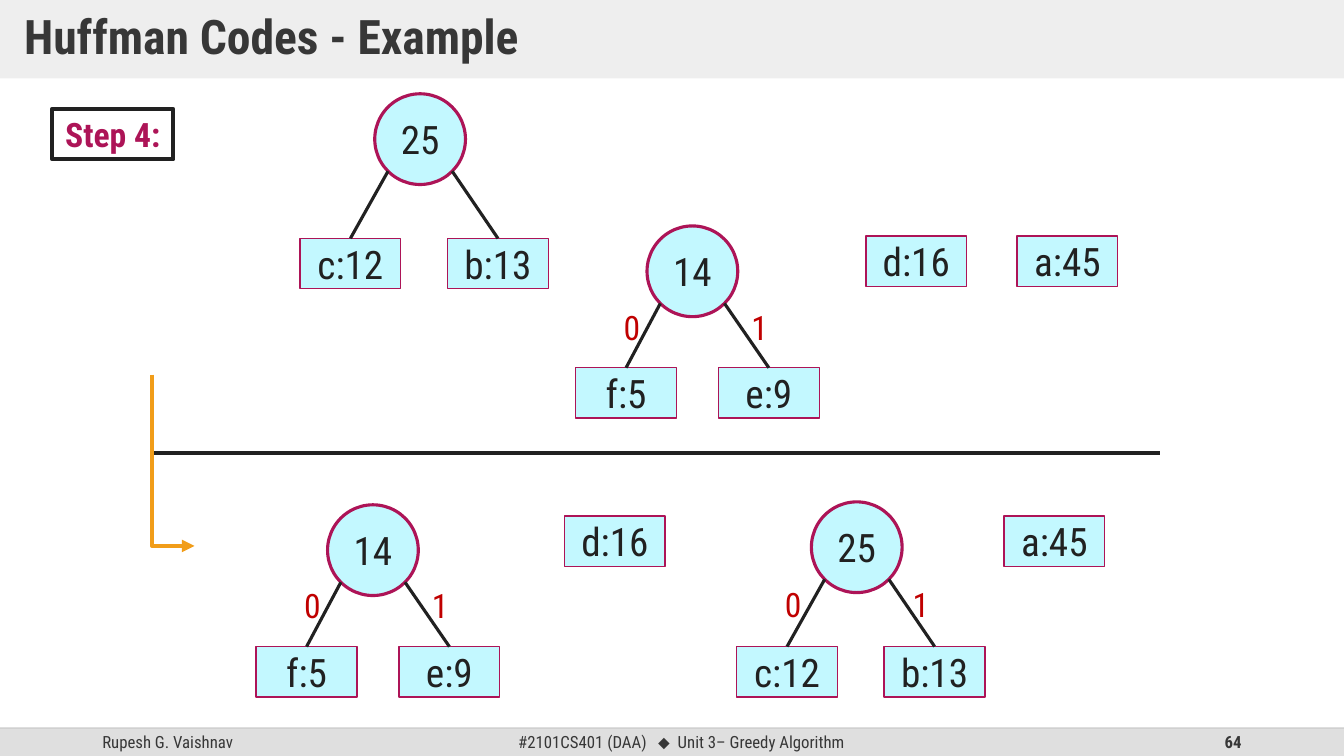
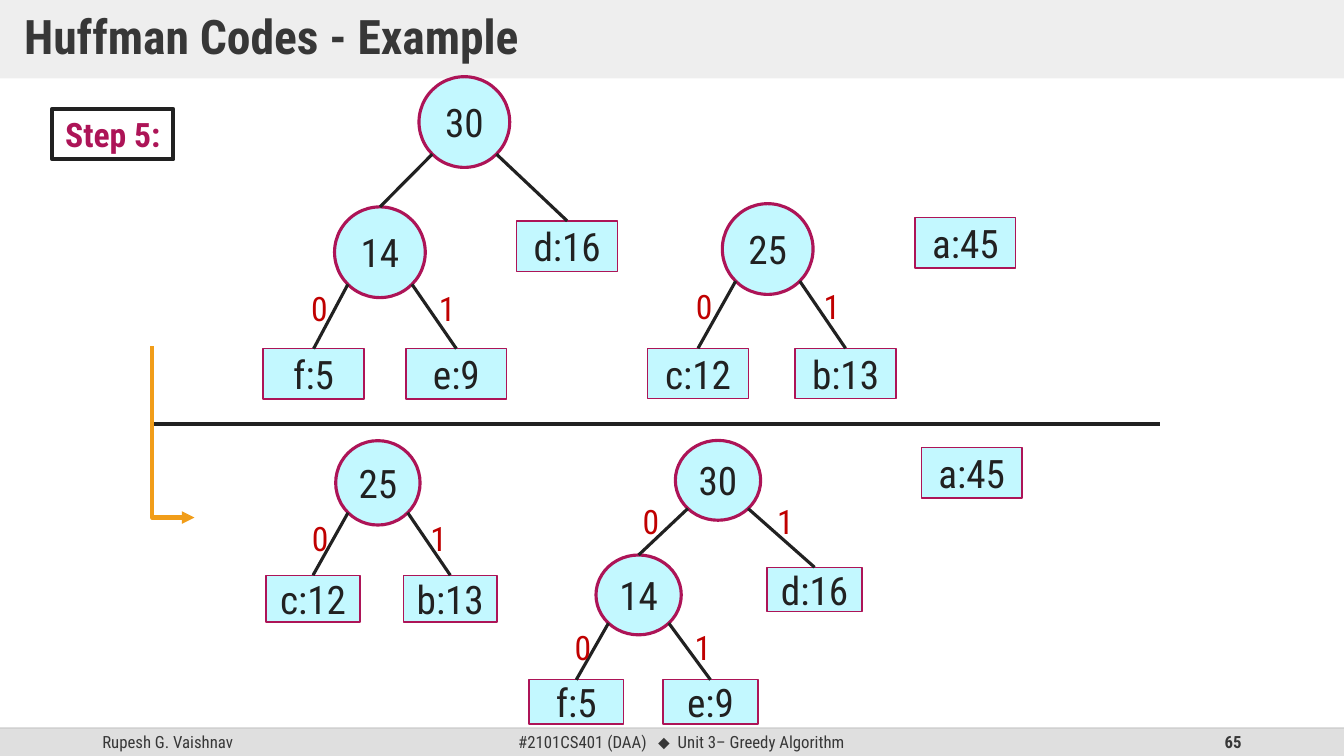
from dataclasses import dataclass
from typing import NamedTuple

from lxml import etree
from pptx import Presentation
from pptx import util as u
from pptx.dml.color import RGBColor
from pptx.enum import shapes, text
from pptx.oxml.ns import qn

COLORS = {
    "ink": "212121",
    "grey_text": "373737",
    "band": "DFDFDF",
    "rule": "BFBFBF",
    "node": "C3F8FF",
    "accent": "AD1457",
    "bit": "C00000",
    "arrow": "F19D19",
}
FONT = "Roboto Condensed"
WIDTH, HEIGHT = 960, 540
FOOTER_Y, FOOTER_H = 520, 20
LEAF_W, LEAF_H, CIRCLE = 72, 36, 64.8
BIT_W, BIT_H = 28.8, 36
DIAGONAL = 0.5 ** 0.5
CENTER = text.PP_ALIGN.CENTER
LEFT = text.PP_ALIGN.LEFT
RIGHT = text.PP_ALIGN.RIGHT


class Scale(NamedTuple):
    x: float
    y: float


class Offset(NamedTuple):
    dx: float
    dy: float


@dataclass(frozen=True)
class Branch:
    child: "Node"
    offset: Offset
    bit: Offset


@dataclass(frozen=True)
class Node:
    label: str
    branches: tuple[Branch, ...] = ()


@dataclass(frozen=True)
class Placement:
    node: Node
    x: float
    y: float
    scale: Scale = Scale(1, 1)
    without_bits: str = ""


@dataclass(frozen=True)
class Step:
    title: str
    number: int
    divider_y: float
    placements: tuple[Placement, ...]


A, D = Node("a:45"), Node("d:16")
N14 = Node("14", (
    Branch(Node("f:5"), Offset(-51, 101.3), Offset(-23.8, 54)),
    Branch(Node("e:9"), Offset(51, 101.3), Offset(67.4, 54)),
))
N25 = Node("25", (
    Branch(Node("c:12"), Offset(-53.4, 103.3), Offset(-26, 55.2)),
    Branch(Node("b:13"), Offset(52, 103.3), Offset(65.2, 55.2)),
))
N30 = Node("30", (
    Branch(N14, Offset(-60.3, 93), Offset(-32.3, 45)),
    Branch(D, Offset(69.8, 103), Offset(69.8, 45)),
))

STEPS = (
    Step("Step 4:", 64, 323.3, (
        Placement(N25, 267.7, 67, without_bits="25"),
        Placement(N14, 462.2, 161.4),
        Placement(D, 618.5, 168.5),
        Placement(A, 726.5, 168.5),
        Placement(N14, 234, 360.6),
        Placement(D, 403.2, 368.6),
        Placement(N25, 579.6, 358.5),
        Placement(A, 717.1, 368.6),
    )),
    Step("Step 5:", 65, 303, (
        Placement(N30, 299.3, 54.8, without_bits="30"),
        Placement(N25, 516, 145.5),
        Placement(A, 653.6, 155.5),
        Placement(N25, 239.8, 314.8, Scale(0.93, 0.93)),
        Placement(N30, 482.4, 314.6, Scale(0.94, 0.88)),
        Placement(A, 658.1, 319.7),
    )),
)


def rgb(name: str) -> RGBColor:
    return RGBColor.from_string(COLORS[name])


def set_alpha(sp, percent: int) -> None:
    color = next(sp._element.spPr.iter(qn("a:srgbClr")))
    etree.SubElement(color, qn("a:alpha"), val=str(percent * 1000))


def style_font(font, size: float, color: str, bold: bool = False) -> None:
    font.name = FONT
    font.size = u.Pt(size)
    font.bold = bold
    font.color.rgb = rgb(color)


def add_box(slide, kind, x, y, w, h, fill=None, line=None, line_width=1.0):
    sp = slide.shapes.add_shape(kind, u.Pt(x), u.Pt(y), u.Pt(w), u.Pt(h))
    sp.shadow.inherit = False
    if fill:
        sp.fill.solid()
        sp.fill.fore_color.rgb = rgb(fill)
    else:
        sp.fill.background()
    if line:
        sp.line.color.rgb = rgb(line)
        sp.line.width = u.Pt(line_width)
    else:
        sp.line.fill.background()
    return sp


def write(sp, words, size, color, align=CENTER, bold=False, wrap=True,
          anchor=text.MSO_ANCHOR.MIDDLE):
    tf = sp.text_frame
    tf.word_wrap = wrap
    tf.vertical_anchor = anchor
    p = tf.paragraphs[0]
    p.text = words
    p.alignment = align
    style_font(p.font, size, color, bold)
    return p


def add_text(slide, x, y, w, h, words, size, color, **options):
    sp = slide.shapes.add_textbox(u.Pt(x), u.Pt(y), u.Pt(w), u.Pt(h))
    return write(sp, words, size, color, **options)


def add_line(slide, x1, y1, x2, y2, color, width,
             kind=shapes.MSO_CONNECTOR.STRAIGHT):
    cxn = slide.shapes.add_connector(kind, u.Pt(x1), u.Pt(y1), u.Pt(x2), u.Pt(y2))
    cxn.line.color.rgb = rgb(color)
    cxn.line.width = u.Pt(width)
    etree.SubElement(cxn._element.spPr, qn("a:effectLst"))
    return cxn


def draw_frame(slide, number: int) -> None:
    rect = shapes.MSO_SHAPE.RECTANGLE
    add_box(slide, rect, 0, FOOTER_Y, WIDTH, FOOTER_H, "band")
    add_text(slide, 66, FOOTER_Y, 216, FOOTER_H, "Rupesh G. Vaishnav", 12,
             "grey_text", align=LEFT)
    p = add_text(slide, 363, FOOTER_Y, 292, FOOTER_H, "", 12, "grey_text", align=LEFT)
    p_pr = p._p.get_or_add_pPr()
    tabs = etree.Element(qn("a:tabLst"))
    for stop in (100, 114):
        etree.SubElement(tabs, qn("a:tab"), pos=str(u.Pt(stop)), algn="l")
    p_pr.insert(0, tabs)
    for words, font in (("#2101CS401 (DAA)\t", FONT), ("⬥", "Arial"),
                        ("\tUnit 3– Greedy Algorithm", FONT)):
        r = p.add_run()
        r.text = words
        style_font(r.font, 12, "grey_text")
        r.font.name = font
    add_text(slide, 678, FOOTER_Y, 216, FOOTER_H, str(number), 12, "grey_text",
             align=RIGHT, bold=True)
    set_alpha(add_line(slide, 0, FOOTER_Y, WIDTH, FOOTER_Y, "rule", 1), 70)

    title = add_box(slide, rect, 0, 0, WIDTH, 56, "band")
    set_alpha(title, 50)
    p = write(title, "Huffman Codes - Example", 34, "grey_text", align=LEFT, bold=True)
    p.line_spacing = 0.9
    tf = title.text_frame
    tf.margin_left = tf.margin_right = u.Pt(17.3)
    tf.margin_top = tf.margin_bottom = u.Pt(8.6)


def draw_tree(slide, node: Node, x: float, y: float, scale: Scale, without_bits: str):
    if node.branches:
        kind, line_width = shapes.MSO_SHAPE.OVAL, 2.25
        w, h = CIRCLE * scale.x, CIRCLE * scale.y
    else:
        kind, line_width = shapes.MSO_SHAPE.RECTANGLE, 1
        w, h = LEAF_W * scale.x, LEAF_H * scale.y
    sp = add_box(slide, kind, x, y, w, h, "node", "accent", line_width)
    write(sp, node.label, 28, "ink", wrap=False)
    for bit, branch in enumerate(node.branches):
        child_x = x + branch.offset.dx * scale.x
        child_y = y + branch.offset.dy * scale.y
        child = draw_tree(slide, branch.child, child_x, child_y, scale, without_bits)
        side = 1 if bit else -1
        edge = add_line(slide, x + w / 2 * (1 + side * DIAGONAL),
                        y + h / 2 * (1 + DIAGONAL), child_x, child_y, "ink", 2.25)
        edge.end_connect(child, 0)
        if node.label != without_bits:
            add_text(slide, x + branch.bit.dx * scale.x, y + branch.bit.dy * scale.y,
                     BIT_W, BIT_H, str(bit), 24, "bit", align=LEFT,
                     anchor=text.MSO_ANCHOR.TOP)
    return sp


def draw_divider(slide, y: float) -> None:
    left = 108.7
    add_line(slide, left, y, left + 720, y, "ink", 3)
    arrow = add_line(slide, left, y - 55.6, left + 30.2, y + 66.7, "arrow", 3,
                     shapes.MSO_CONNECTOR.ELBOW)
    guides = next(arrow._element.spPr.iter(qn("a:avLst")))
    etree.SubElement(guides, qn("a:gd"), name="adj1", fmla="val 0")
    line = arrow._element.spPr.find(qn("a:ln"))
    etree.SubElement(line, qn("a:tailEnd"), type="triangle")


def draw_step(prs, step: Step) -> None:
    slide = prs.slides.add_slide(prs.slide_layouts[6])
    draw_frame(slide, step.number)
    label = add_box(slide, shapes.MSO_SHAPE.RECTANGLE, 37.4, 77.8, 86.4, 36,
                    line="ink", line_width=3)
    write(label, step.title, 24, "accent", bold=True, wrap=False)
    draw_divider(slide, step.divider_y)
    for place in step.placements:
        draw_tree(slide, place.node, place.x, place.y, place.scale, place.without_bits)


def main() -> None:
    prs = Presentation()
    prs.slide_width, prs.slide_height = u.Pt(WIDTH), u.Pt(HEIGHT)
    for step in STEPS:
        draw_step(prs, step)
    prs.save("out.pptx")


if __name__ == "__main__":
    main()
